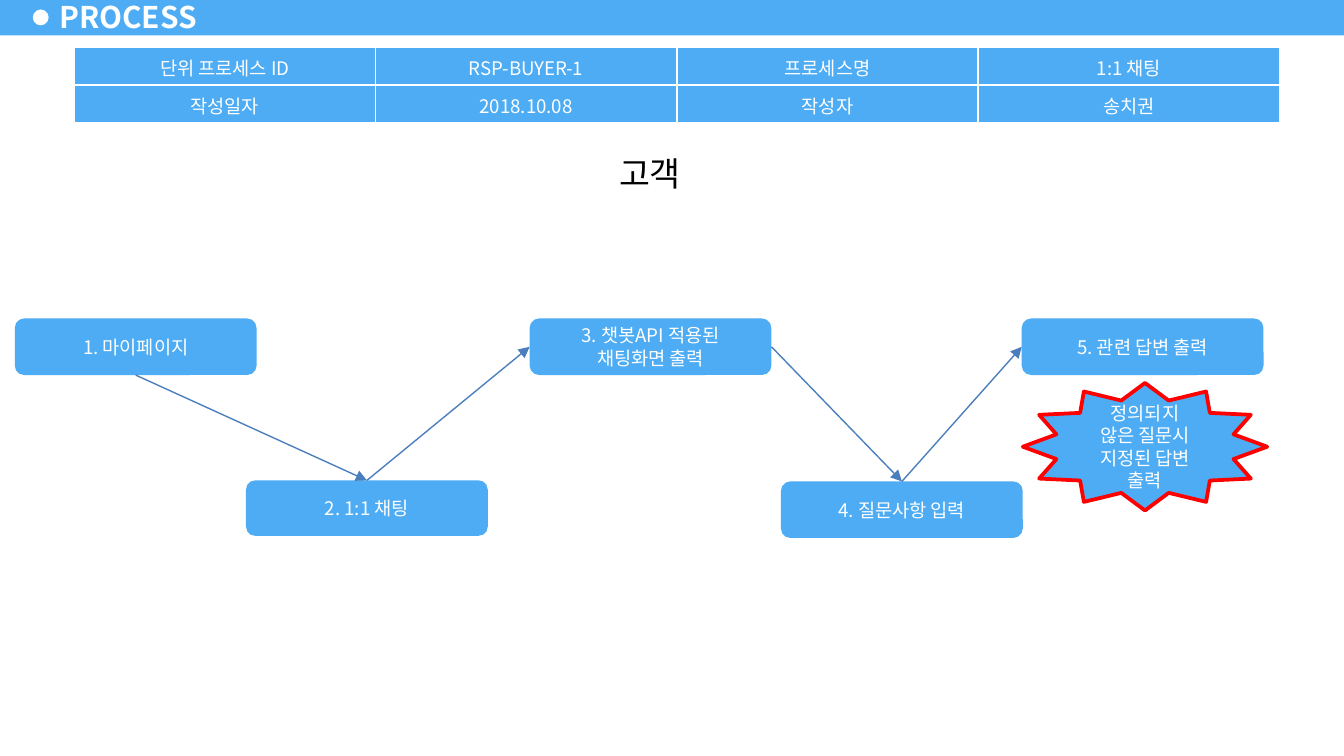
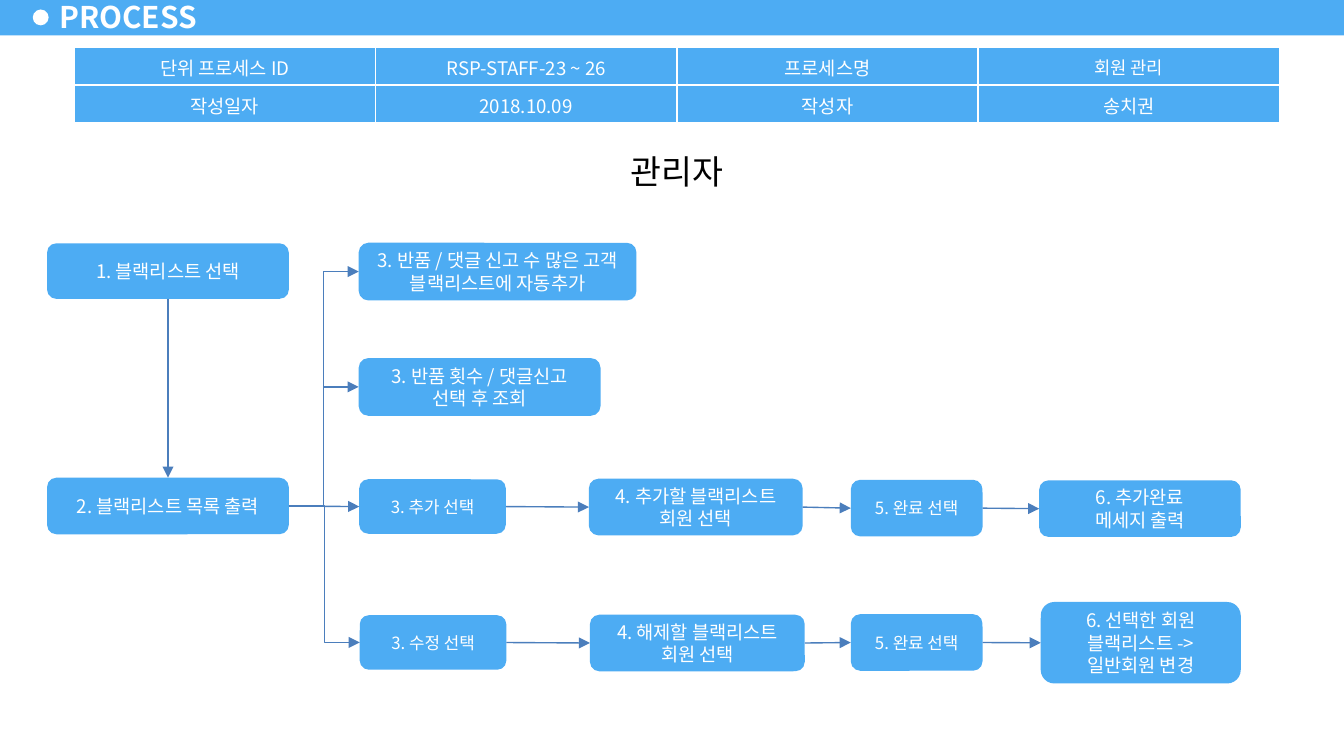
"""Build two process-flow slides that share a title band and an information table."""
from dataclasses import dataclass
from typing import Optional

from lxml import etree
from pptx import Presentation
from pptx.dml.color import RGBColor
from pptx.enum import shapes, text
from pptx.oxml import ns
from pptx.util import Cm, Pt

BLUE = RGBColor(0x4D, 0xAC, 0xF3)
LINK_BLUE = RGBColor(0x4B, 0x7E, 0xBC)
RED = RGBColor(0xFF, 0x00, 0x00)
WHITE = RGBColor(0xFF, 0xFF, 0xFF)
BLACK = RGBColor(0x00, 0x00, 0x00)
FONT = "Noto Sans CJK KR"

TOP, LEFT, BOTTOM, RIGHT = range(4)
STRAIGHT = shapes.MSO_CONNECTOR.STRAIGHT
ELBOW = shapes.MSO_CONNECTOR.ELBOW
ROUNDED = shapes.MSO_SHAPE.ROUNDED_RECTANGLE


@dataclass(frozen=True)
class Place:
    left: float
    top: float
    width: float
    height: float

    def lengths(self) -> tuple:
        return Cm(self.left), Cm(self.top), Cm(self.width), Cm(self.height)


@dataclass(frozen=True)
class Step:
    name: str
    words: str
    place: Place
    size: float = 10
    kind: int = ROUNDED
    outline: Optional[RGBColor] = None


@dataclass(frozen=True)
class Link:
    start: str
    end: str
    start_side: int = RIGHT
    end_side: int = LEFT
    kind: int = STRAIGHT


@dataclass(frozen=True)
class Process:
    identifier: str
    name: str
    date: str
    actor: str
    actor_place: Place
    steps: list
    links: list
    name_size: float = 10


CHAT = Process(
    "RSP-BUYER-1", "1:1 채팅", "2018.10.08", "고객", Place(7.75, 2.77, 9.07, 1.04),
    steps=[
        Step("my page", "1. 마이페이지", Place(0.28, 6.02, 4.57, 1.07)),
        Step("chat screen", "3. 챗봇API 적용된\n채팅화면 출력", Place(10.01, 6.02, 4.57, 1.07)),
        Step("question", "4. 질문사항 입력", Place(14.76, 9.1, 4.57, 1.07)),
        Step("chat", "2. 1:1 채팅", Place(4.65, 9.08, 4.57, 1.05)),
        Step("answer", "5. 관련 답변 출력", Place(19.31, 6.02, 4.57, 1.07)),
        Step("fallback", "정의되지\v않은 질문시 지정된 답변 출력", Place(19.33, 7.24, 4.62, 2.41),
             kind=shapes.MSO_SHAPE.STAR_12_POINT, outline=RED),
    ],
    links=[
        Link("my page", "chat", BOTTOM, TOP),
        Link("chat", "chat screen", TOP),
        Link("chat screen", "question", end_side=TOP),
        Link("question", "answer", TOP),
    ],
)

BLACKLIST = Process(
    "RSP-STAFF-23 ~ 26", "회원 관리", "2018.10.09", "관리자", Place(8.26, 2.72, 9.07, 1.04),
    name_size=9.5,
    steps=[
        Step("choose", "1. 블랙리스트 선택", Place(0.89, 4.6, 4.57, 1.05)),
        Step("search", "3. 반품 횟수 / 댓글신고\n선택 후 조회", Place(6.78, 6.77, 4.57, 1.09)),
        Step("automatic", "3. 반품 / 댓글 신고 수 많은 고객 블랙리스트에 자동추가",
             Place(6.78, 4.59, 5.25, 1.09)),
        Step("add", "3. 추가 선택", Place(6.79, 9.06, 2.77, 1.03), 9),
        Step("added", "6. 추가완료\n메세지 출력", Place(19.64, 9.08, 3.81, 1.07)),
        Step("add member", "4. 추가할 블랙리스트\n회원 선택", Place(11.13, 9.05, 4.04, 1.07)),
        Step("edit", "3. 수정 선택", Place(6.8, 11.63, 2.77, 1.03), 9),
        Step("release member", "4. 해제할 블랙리스트\n회원 선택", Place(11.15, 11.62, 4.06, 1.07)),
        Step("release done", "5. 완료 선택", Place(16.08, 11.61, 2.49, 1.07), 9),
        Step("released", "6. 선택한 회원\v블랙리스트 ->\n일반회원 변경",
             Place(19.67, 11.38, 3.78, 1.54)),
        Step("list", "2. 블랙리스트 목록 출력", Place(0.89, 9.03, 4.57, 1.07)),
        Step("add done", "5. 완료 선택", Place(16.08, 9.07, 2.49, 1.07), 9),
    ],
    links=[
        Link("choose", "list", BOTTOM, TOP),
        *(Link("list", end, kind=ELBOW) for end in ("edit", "automatic", "search")),
        Link("list", "add"),
        Link("add", "add member"),
        Link("add member", "add done"),
        Link("add done", "added"),
        Link("edit", "release member"),
        Link("release member", "release done"),
        Link("release done", "released"),
    ],
)


def write(frame, words: str, *, size: float = 10, color: RGBColor = WHITE, bold: bool = False,
          align=text.PP_ALIGN.CENTER) -> None:
    """Fill a text frame with words in one format."""
    frame.text = words
    for paragraph in frame.paragraphs:
        paragraph.alignment = align
        for run in paragraph.runs:
            font = run.font
            font.name, font.size, font.bold = FONT, Pt(size), bold
            font.color.rgb = color
            east_asian = etree.Element(ns.qn("a:ea"), typeface=FONT)
            font._element.find(ns.qn("a:latin")).addnext(east_asian)


def add_shape(slide, kind: int, place: Place, fill: RGBColor, outline: Optional[RGBColor] = None):
    """Add a flat preset shape."""
    shape = slide.shapes.add_shape(kind, *place.lengths())
    shape.shadow.inherit = False
    shape.fill.solid()
    shape.fill.fore_color.rgb = fill
    if outline is None:
        shape.line.fill.background()
    else:
        shape.line.color.rgb = outline
        shape.line.width = Pt(2)
    return shape


def add_step(slide, step: Step):
    """Add one step of the process with its label."""
    shape = add_shape(slide, step.kind, step.place, BLUE, step.outline)
    shape.text_frame.word_wrap = True
    shape.text_frame.vertical_anchor = text.MSO_ANCHOR.MIDDLE
    write(shape.text_frame, step.words, size=step.size)
    return shape


def add_link(slide, link: Link, steps: dict) -> None:
    """Add an arrow joined to the sides of two steps."""
    connector = slide.shapes.add_connector(link.kind, 0, 0, 0, 0)
    connector.begin_connect(steps[link.start], link.start_side)
    connector.end_connect(steps[link.end], link.end_side)
    connector.line.color.rgb = LINK_BLUE
    connector.line.width = Pt(0.75)
    etree.SubElement(connector.line._get_or_add_ln(), ns.qn("a:tailEnd"), type="triangle")
    etree.SubElement(connector.element.spPr, ns.qn("a:effectLst"))


def add_cell_borders(cell) -> None:
    """Give all four sides of a cell a thin white border."""
    properties = cell._tc.get_or_add_tcPr()
    for side in ("lnL", "lnR", "lnT", "lnB"):
        border = etree.SubElement(properties, ns.qn(f"a:{side}"), w=str(Pt(1)))
        fill = etree.SubElement(border, ns.qn("a:solidFill"))
        etree.SubElement(fill, ns.qn("a:srgbClr"), val=str(WHITE))


def add_information(slide, process: Process) -> None:
    """Add the table that identifies the process."""
    rows = [
        ["단위 프로세스 ID", process.identifier, "프로세스명", process.name],
        ["작성일자", process.date, "작성자", "송치권"],
    ]
    place = Place(1.4, 0.9, 22.78, 1.42)
    table = slide.shapes.add_table(len(rows), len(rows[0]), *place.lengths()).table
    table.first_row = table.horz_banding = False
    for row_index, row in enumerate(rows):
        for column_index, words in enumerate(row):
            cell = table.cell(row_index, column_index)
            add_cell_borders(cell)
            cell.fill.solid()
            cell.fill.fore_color.rgb = BLUE
            cell.vertical_anchor = text.MSO_ANCHOR.MIDDLE
            write(cell.text_frame, words, size=process.name_size if words == process.name else 10)


def add_title(slide) -> None:
    """Move the title onto the band and format it."""
    title = slide.shapes.title
    title.left, title.top, title.width, title.height = Place(0.89, -0.1, 3.15, 0.81).lengths()
    frame = title.text_frame
    frame.word_wrap = True
    frame.auto_size = text.MSO_AUTO_SIZE.NONE
    frame.vertical_anchor = text.MSO_ANCHOR.MIDDLE
    frame.margin_left = frame.margin_right = Cm(0.23)
    frame.margin_top = frame.margin_bottom = Cm(0.1)
    write(frame, "PROCESS", size=16, bold=True, align=text.PP_ALIGN.LEFT)


def add_actor(slide, process: Process) -> None:
    """Add the heading that names who runs the process."""
    heading = slide.shapes.add_textbox(*process.actor_place.lengths())
    heading.fill.solid()
    heading.fill.fore_color.rgb = WHITE
    heading.text_frame.word_wrap = True
    heading.text_frame.auto_size = text.MSO_AUTO_SIZE.SHAPE_TO_FIT_TEXT
    write(heading.text_frame, process.actor, size=18, color=BLACK)


def decorate_layout(layout, slide) -> None:
    """Put the title band and its dot on the layout, behind the title."""
    for placeholder in list(layout.placeholders):
        if placeholder.placeholder_format.type != shapes.PP_PLACEHOLDER.TITLE:
            layout.shapes.element.remove(placeholder.element)
    band = add_shape(slide, shapes.MSO_SHAPE.RECTANGLE, Place(0, -0.05, 25.4, 0.72), BLUE)
    dot = add_shape(slide, shapes.MSO_SHAPE.OVAL, Place(0.62, 0.18, 0.3, 0.3), WHITE)
    for position, shape in enumerate((band, dot), start=2):
        layout.shapes.element.insert(position, shape.element)


def add_process(slide, process: Process) -> None:
    """Fill a slide with one process."""
    add_title(slide)
    add_actor(slide, process)
    steps = {step.name: add_step(slide, step) for step in process.steps}
    add_information(slide, process)
    for link in process.links:
        add_link(slide, link, steps)


def main() -> None:
    """Build and save the presentation."""
    presentation = Presentation()
    presentation.slide_width, presentation.slide_height = Cm(25.4), Cm(14.29)
    layout = presentation.slide_layouts.get_by_name("Title Only")
    for index, process in enumerate((CHAT, BLACKLIST)):
        slide = presentation.slides.add_slide(layout)
        if index == 0:
            decorate_layout(layout, slide)
        add_process(slide, process)
    presentation.save("out.pptx")


if __name__ == "__main__":
    main()
